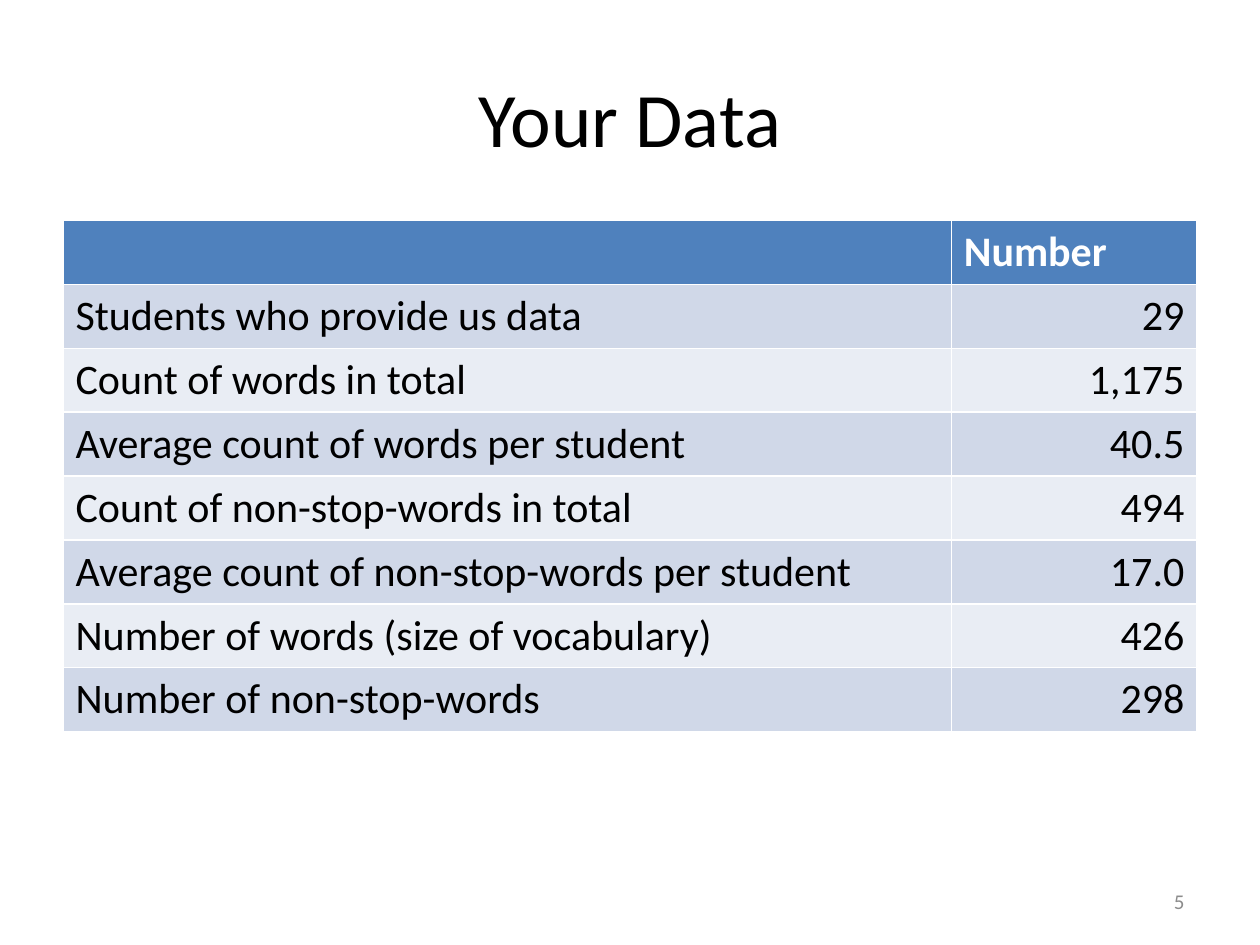
from pptx import Presentation
from pptx.dml.color import RGBColor
from pptx.enum.text import MSO_ANCHOR, PP_ALIGN
from pptx.util import Pt

PX = 9144  # EMU per px, at 100 px to the inch
FONT = "Calibri"
LEFT, CENTER, RIGHT = PP_ALIGN.LEFT, PP_ALIGN.CENTER, PP_ALIGN.RIGHT
MIDDLE = MSO_ANCHOR.MIDDLE
TITLE_ONLY = 5

COLORS = {
    "header": "4F81BD",
    "odd_row": "D0D8E8",
    "even_row": "E9EDF4",
    "text": "000000",
    "header_text": "FFFFFF",
    "page_number": "8C8C8C",
}

ROWS = [
    ("", "Number"),
    ("Students who provide us data", "29"),
    ("Count of words in total", "1,175"),
    ("Average count of words per student", "40.5"),
    ("Count of non-stop-words in total", "494"),
    ("Average count of non-stop-words per student", "17.0"),
    ("Number of words (size of vocabulary)", "426"),
    ("Number of non-stop-words", "298"),
]
COLUMN_WIDTHS = (705, 195)


def emu(box):
    return [length * PX for length in box]


def color(name):
    return RGBColor.from_string(COLORS[name])


def write(frame, text, size, color_name, align, bold=False):
    frame.text = text
    para = frame.paragraphs[0]
    para.alignment = align
    para.font.size = Pt(size)
    for span in para.runs:
        span.font.name = FONT
        span.font.size = Pt(size)
        span.font.bold = bold
        span.font.color.rgb = color(color_name)


def add_title(page, box, text):
    title = page.shapes.title
    title.left, title.top, title.width, title.height = emu(box)
    title.text_frame.vertical_anchor = MIDDLE
    write(title.text_frame, text, 44, "text", CENTER)


def add_data_table(page, box):
    # The default table style supplies the white cell borders
    table = page.shapes.add_table(len(ROWS), len(COLUMN_WIDTHS), *emu(box)).table
    for column, width in zip(table.columns, COLUMN_WIDTHS):
        column.width = width * PX
    for r, row in enumerate(ROWS):
        is_header = r == 0
        fill = "header" if is_header else "odd_row" if r % 2 else "even_row"
        text_color = "header_text" if is_header else "text"
        for c, text in enumerate(row):
            cell = table.cell(r, c)
            cell.fill.solid()
            cell.fill.fore_color.rgb = color(fill)
            align = RIGHT if c and not is_header else LEFT
            write(cell.text_frame, text, 24, text_color, align, bold=is_header)


def add_page_number(page, box, number):
    frame = page.shapes.add_textbox(*emu(box)).text_frame
    frame.word_wrap = True
    frame.vertical_anchor = MIDDLE
    write(frame, str(number), 12, "page_number", RIGHT)


def main():
    deck = Presentation()
    deck.slide_width, deck.slide_height = emu((1000, 750))
    page = deck.slides.add_slide(deck.slide_layouts[TITLE_ONLY])
    add_title(page, (50, 30, 900, 125), "Your Data")
    add_data_table(page, (50, 175, 900, 400))
    add_page_number(page, (717, 695, 233, 40), 5)
    deck.save("out.pptx")


if __name__ == "__main__":
    main()
